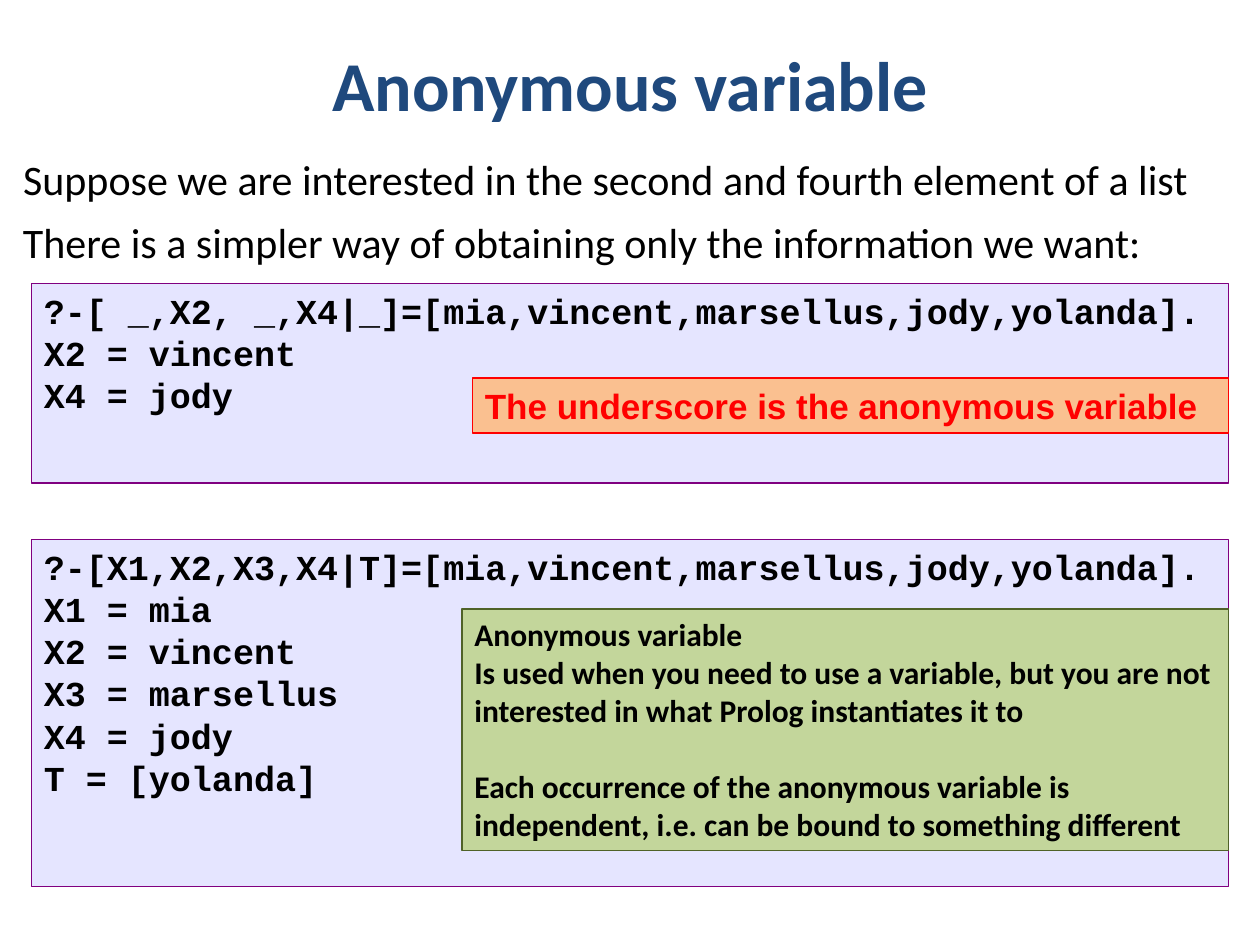
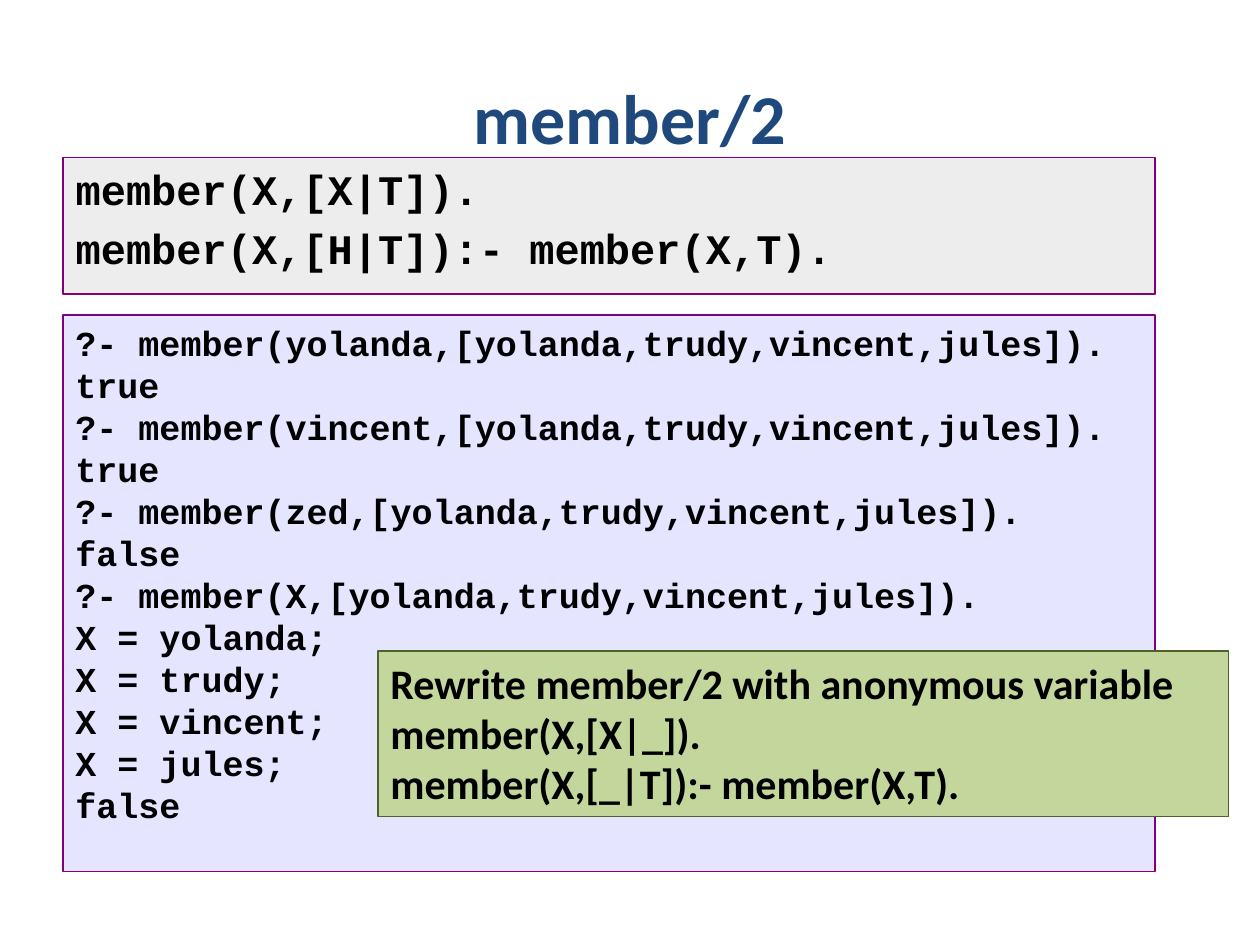
from dataclasses import dataclass

from lxml.etree import SubElement
from pptx import Presentation
from pptx.dml.color import RGBColor
from pptx.enum.shapes import MSO_SHAPE
from pptx.enum.text import MSO_ANCHOR, MSO_AUTO_SIZE, PP_ALIGN
from pptx.oxml.ns import qn
from pptx.util import Inches, Pt

COLS, ROWS = 120, 90  # grid of the whole slide


@dataclass(frozen=True)
class Look:
    """Type, fill and line of one kind of text block."""
    size: float
    font: str = "Calibri"
    color: str = "000000"
    bold: bool = True
    fill: str = ""
    line: str = ""
    alpha: int = 100    # percent of opacity
    hang: float = 0     # hanging indent, inches
    gap: float = 0      # space before, share of type size
    grow: bool = False


CODE = dict(font="Courier New", line="800080", alpha=50, hang=0.38)
NOTE = dict(fill="C3D69B", line="4F6228", grow=True)
THEME = {
    "title": Look(40, color="1F497D"),
    "lead": Look(24, bold=False, hang=0.38, gap=0.2),
    "query": Look(20, fill="CCCCFF", **CODE),
    "rule": Look(24, fill="DDDDDD", gap=0.2, **CODE),
    "alert": Look(20, "Arial", "FF0000", fill="FAC090", line="FF0000", grow=True),
    "note": Look(18, **NOTE),
    "task": Look(24, **NOTE),
}

# Each block: look, (column, row, columns, rows), lines.
# The first block fills the body placeholder.
SLIDES = [
    dict(
        title="Anonymous variable",
        place=(6, 2, 108, 12),
        blocks=[
            ("lead", (1, 14, 119, 7),
             ["Suppose we are interested in the second and fourth element of a list"]),
            ("query", (3, 51.4, 114, 33),
             ["?-[X1,X2,X3,X4|T]=[mia,vincent,marsellus,jody,yolanda].",
              "X1 = mia", "X2 = vincent", "X3 = marsellus", "X4 = jody",
              "T = [yolanda]"]),
            ("query", (3, 27, 114, 19),
             ["?-[ _,X2, _,X4|_]=[mia,vincent,marsellus,jody,yolanda].",
              "X2 = vincent", "X4 = jody"]),
            ("lead", (1, 20, 111, 7),
             ["There is a simpler way of obtaining only the information we want:"]),
            ("alert", (45, 36, 72, 5.25),
             ["The underscore is the anonymous variable"]),
            ("note", (44, 58, 73, 23),
             ["Anonymous variable",
              "Is used when you need to use a variable, but you are not "
              "interested in what Prolog instantiates it to",
              ("Each occurrence of the anonymous variable is independent, "
               "i.e. can be bound to something different", 1.22)]),
        ],
    ),
    dict(
        title="member/2",
        place=(6, 3.6, 108, 15),
        blocks=[
            ("rule", (6, 15, 104, 13),
             ["member(X,[X|T]).", "member(X,[H|T]):- member(X,T)."]),
            ("query", (6, 30, 104, 53),
             ["?- member(yolanda,[yolanda,trudy,vincent,jules]).", "true",
              "?- member(vincent,[yolanda,trudy,vincent,jules]).", "true",
              "?- member(zed,[yolanda,trudy,vincent,jules]).", "false",
              "?- member(X,[yolanda,trudy,vincent,jules]).",
              "X = yolanda;", "X = trudy;", "X = vincent;", "X = jules;",
              "false"]),
            ("task", (36, 62, 81, 15.75),
             ["Rewrite member/2 with anonymous variable",
              "member(X,[X|_]).", "member(X,[_|T]):- member(X,T)."]),
        ],
    ),
]


def assign(item, **values):
    """Set attributes from a dict of format values."""
    for name, value in values.items():
        setattr(item, name, value)


def span(place):
    """Turn grid cells into left, top, width and height."""
    units = (deck.slide_width / COLS, deck.slide_height / ROWS) * 2
    return [round(n * unit) for n, unit in zip(place, units)]


def paint(shape, look):
    """Give a shape its fill and line."""
    shape.shadow.inherit = False
    shape.fill.solid()
    shape.fill.fore_color.rgb = RGBColor.from_string(look.fill)
    if look.alpha < 100:
        tint = shape.fill._xPr.find(qn("a:solidFill"))[0]
        SubElement(tint, qn("a:alpha"), val=str(look.alpha * 1000))
    shape.line.color.rgb = RGBColor.from_string(look.line)
    shape.line.width = Pt(0.75)


def write(shape, lines, look, anchor=MSO_ANCHOR.TOP, align=PP_ALIGN.LEFT):
    """Write lines; a (text, gap) pair sets its own space before."""
    frame = shape.text_frame
    fit = MSO_AUTO_SIZE.SHAPE_TO_FIT_TEXT if look.grow else MSO_AUTO_SIZE.NONE
    assign(frame, word_wrap=True, auto_size=fit, vertical_anchor=anchor)
    for i, line in enumerate(lines):
        text, gap = line if isinstance(line, tuple) else (line, look.gap)
        para = frame.add_paragraph() if i else frame.paragraphs[0]
        assign(para, alignment=align, space_before=Pt(look.size * gap))
        props = para._p.get_or_add_pPr()
        props.set("marL", str(Inches(look.hang)))
        props.set("indent", str(-Inches(look.hang)))
        SubElement(props, qn("a:buNone"))
        run = para.add_run()
        run.text = text
        assign(run.font, name=look.font, size=Pt(look.size), bold=look.bold)
        run.font.color.rgb = RGBColor.from_string(look.color)


def put(slide, shape, kind, place, lines):
    """Place one block, in a given placeholder or a new shape."""
    look, box = THEME[kind], span(place)
    if shape is None:
        shapes = slide.shapes
        shape = (shapes.add_shape(MSO_SHAPE.RECTANGLE, *box) if look.fill
                 else shapes.add_textbox(*box))
    assign(shape, **dict(zip(("left", "top", "width", "height"), box)))
    if look.fill:
        paint(shape, look)
    if kind == "title":
        write(shape, lines, look, MSO_ANCHOR.MIDDLE, PP_ALIGN.CENTER)
    else:
        write(shape, lines, look)


def build(page):
    """Build one slide from its content."""
    slide = deck.slides.add_slide(deck.slide_layouts[1])
    put(slide, slide.shapes.title, "title", page["place"], [page["title"]])
    for i, block in enumerate(page["blocks"]):
        put(slide, None if i else slide.placeholders[1], *block)


deck = Presentation()
assign(deck, slide_width=Inches(10), slide_height=Inches(7.5))
for page in SLIDES:
    build(page)
deck.save("out.pptx")
